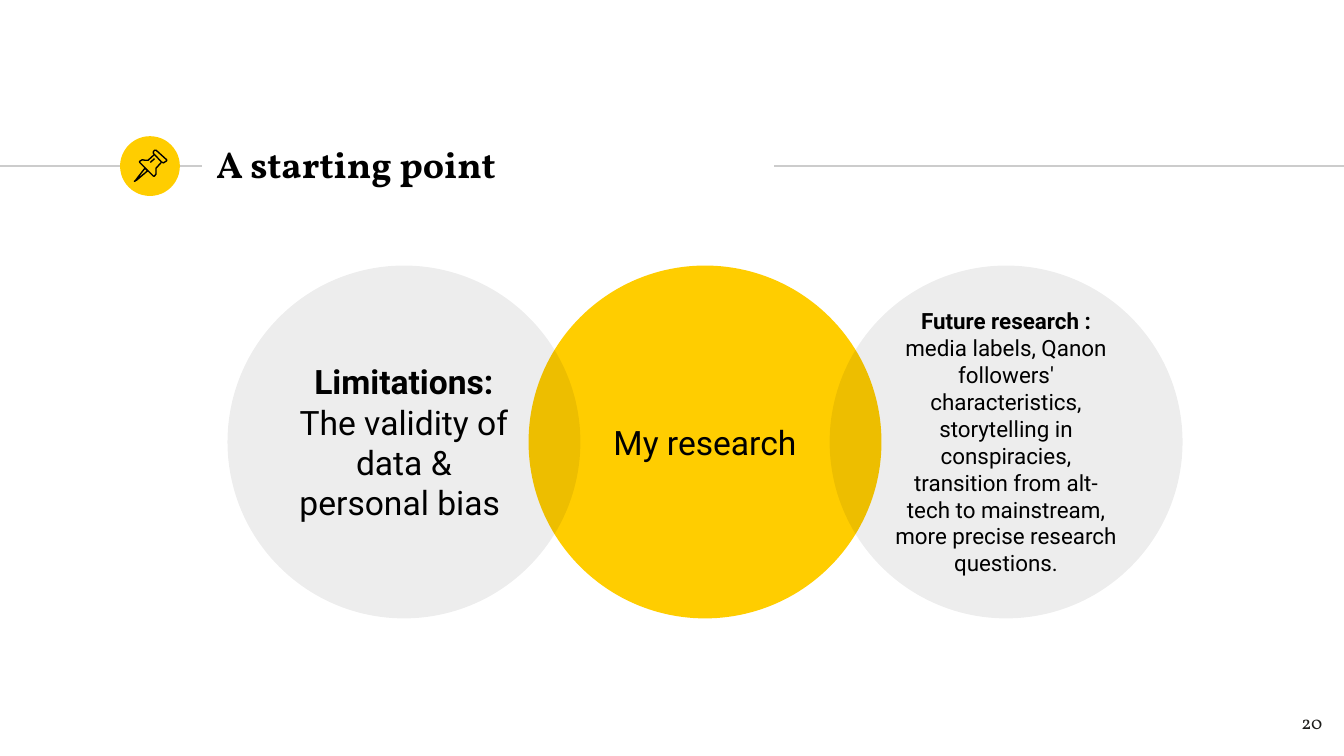
from lxml import etree
from pptx import Presentation
from pptx.dml.color import RGBColor
from pptx.enum import shapes, text
from pptx.oxml import ns
from pptx.util import Cm, Pt

YELLOW = RGBColor(0xFF, 0xCD, 0x00)
BLACK = RGBColor(0x00, 0x00, 0x00)
GRAY = RGBColor(0xCC, 0xCC, 0xCC)
INK = RGBColor(0x1D, 0x1D, 0x1B)

TITLE = "A starting point"
PAGE = "20"

# Column, fill, opacity in percent, text size, paragraphs of (text, bold) runs
CIRCLES = [
    (1, YELLOW, 100, 18, [[("My research", False)]]),
    (0, BLACK, 7, 18, [[("Limitations:", True)],
                       [("The validity of data & personal bias ", False)]]),
    (2, BLACK, 7, 12, [[("Future research : ", True),
                        ("media labels, Qanon followers' characteristics, "
                         "storytelling in conspiracies, transition from alt-tech "
                         "to mainstream, more precise research questions.", False)]]),
]
DIAMETER, STEP, LEFT, TOP = 6.67, 5.69, 4.3, 5.02

RULE_Y = 3.14
RULES = [(0, 3.82), (14.63, 25.4)]
BADGE = 1.13

# Pushpin outlines in cm: (points, closed)
PIN = [
    ([(2.74, 3.18), (2.57, 3.4), (2.54, 3.43), (2.59, 3.4), (2.79, 3.23)], True),
    ([(2.92, 2.92), (3.05, 3.06), (3.09, 3.08), (3.12, 3.06), (3.15, 3.04),
      (3.15, 3.02), (2.95, 2.84), (2.92, 2.84), (2.9, 2.87), (2.9, 2.9)], True),
    ([(2.92, 2.92), (2.8, 3.03), (2.74, 3.03), (2.69, 3.02), (2.64, 3.05),
      (2.64, 3.07), (2.9, 3.33), (2.92, 3.33), (2.95, 3.29), (2.95, 3.18),
      (3.05, 3.07)], False),
]
PIN_SHINE = (2.84, 3.07, 2.92, 3)


def write(s, paragraphs, size, font="Roboto", color=BLACK,
          align=text.PP_ALIGN.CENTER, anchor=text.MSO_ANCHOR.MIDDLE):
    tf = s.text_frame
    tf.word_wrap = True
    tf.auto_size = text.MSO_AUTO_SIZE.NONE
    tf.vertical_anchor = anchor
    tf.margin_left = tf.margin_right = tf.margin_top = tf.margin_bottom = Cm(0.25)
    for i, runs in enumerate(paragraphs):
        p = tf.add_paragraph() if i else tf.paragraphs[0]
        p.alignment = align
        for words, bold in runs:
            r = p.add_run()
            r.text = words
            r.font.name, r.font.size, r.font.bold = font, Pt(size), bold
            r.font.color.rgb = color


def add_circle(sp, x, y, size, fill, opacity=100):
    s = sp.add_shape(shapes.MSO_SHAPE.OVAL, Cm(x), Cm(y), Cm(size), Cm(size))
    s.shadow.inherit = False
    s.line.fill.background()
    s.fill.solid()
    s.fill.fore_color.rgb = fill
    if opacity < 100:
        clr = s.fill._xPr.find(".//" + ns.qn("a:srgbClr"))
        etree.SubElement(clr, ns.qn("a:alpha"), val=str(opacity * 1000))
    return s


def add_line(sp, x1, y1, x2, y2, color):
    s = sp.add_connector(shapes.MSO_CONNECTOR.STRAIGHT, Cm(x1), Cm(y1), Cm(x2), Cm(y2))
    s.line.color.rgb = color
    s.line.width = Pt(0.75)
    etree.SubElement(s._element.spPr, ns.qn("a:effectLst"))


def add_pin(sp):
    pin = sp.add_group_shape().shapes
    for points, closed in PIN:
        (x, y), *rest = points
        builder = pin.build_freeform(x * 100, y * 100, scale=Cm(0.01))
        builder.add_line_segments([(a * 100, b * 100) for a, b in rest], close=closed)
        s = builder.convert_to_shape()
        s.shadow.inherit = False
        s.fill.background()
        s.line.color.rgb = BLACK
        s.line.width = Pt(0.75)
    add_line(pin, *PIN_SHINE, BLACK)


def main():
    prs = Presentation()
    prs.slide_width, prs.slide_height = Cm(25.4), Cm(14.29)
    slide = prs.slides.add_slide(prs.slide_layouts[5])
    sp = slide.shapes

    for x1, x2 in RULES:
        add_line(sp, x1, RULE_Y, x2, RULE_Y, GRAY)
    add_circle(sp, 2.27, RULE_Y - BADGE / 2, BADGE, YELLOW)
    add_pin(sp)

    title = sp.title
    title.left, title.top, title.width, title.height = Cm(3.84), Cm(2.49), Cm(10.77), Cm(1.22)
    write(title, [[(TITLE, True)]], 20, font="Vollkorn", align=text.PP_ALIGN.LEFT)

    for column, fill, opacity, size, paragraphs in CIRCLES:
        s = add_circle(sp, LEFT + column * STEP, TOP, DIAMETER, fill, opacity)
        write(s, paragraphs, size)

    number = sp.add_textbox(Cm(23.72), Cm(13.18), Cm(1.52), Cm(1.09))
    write(number, [[(PAGE, False)]], 10, font="Vollkorn", color=INK,
          align=text.PP_ALIGN.RIGHT, anchor=text.MSO_ANCHOR.TOP)

    prs.save("out.pptx")


if __name__ == "__main__":
    main()
